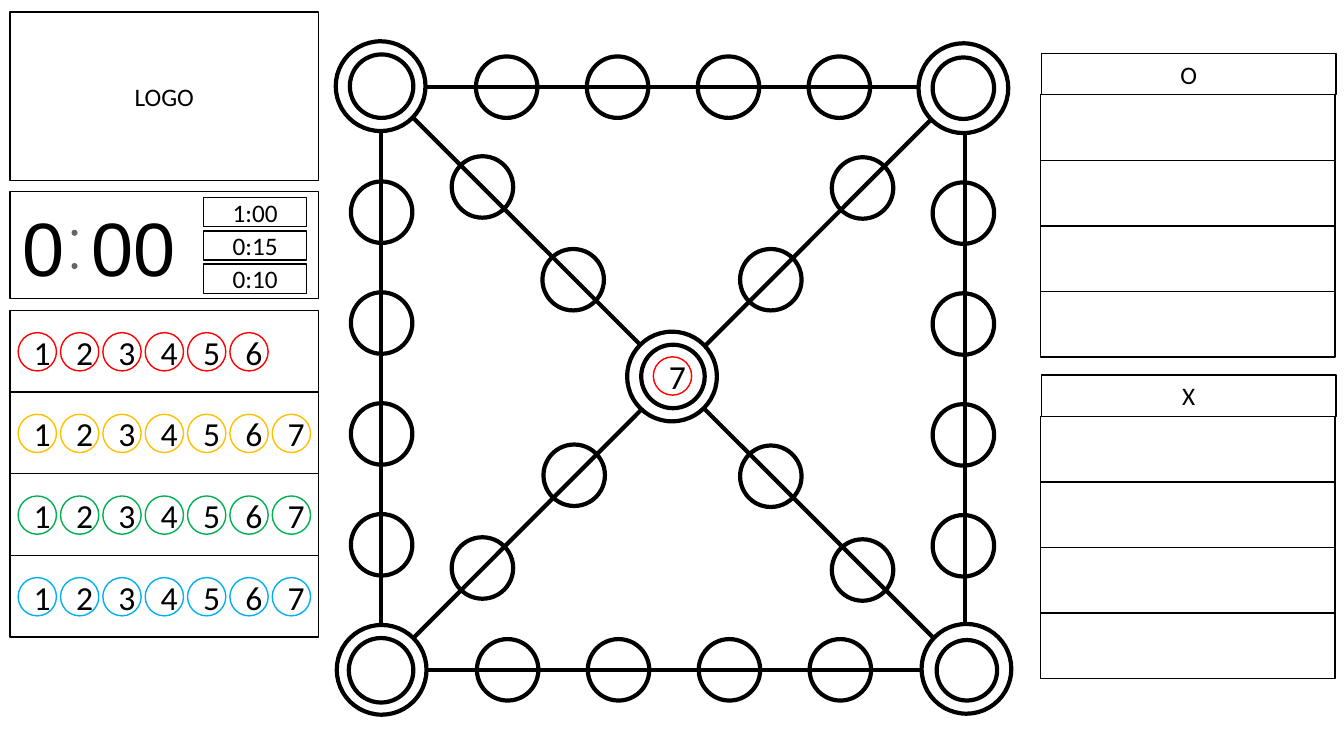
from lxml import etree
from pptx import Presentation
from pptx.dml.color import RGBColor
from pptx.enum.shapes import MSO_CONNECTOR, MSO_SHAPE
from pptx.enum.text import MSO_ANCHOR, PP_ALIGN
from pptx.oxml.ns import qn
from pptx.util import Inches, Pt

BLACK = RGBColor(0, 0, 0)
WHITE = RGBColor(255, 255, 255)
RED = RGBColor(255, 0, 0)
GOLD = RGBColor(255, 192, 0)
GREEN = RGBColor(0, 176, 80)
BLUE = RGBColor(0, 176, 240)
RECT = MSO_SHAPE.RECTANGLE
OVAL = MSO_SHAPE.OVAL
STRAIGHT = MSO_CONNECTOR.STRAIGHT
CENTER = PP_ALIGN.CENTER
MIDDLE = MSO_ANCHOR.MIDDLE

deck = Presentation()
deck.slide_width = Inches(13.33)
deck.slide_height = Inches(7.5)
slide = deck.slides.add_slide(deck.slide_layouts[6])
shapes = slide.shapes


def write(shape, text, size, font="Calibri"):
    frame = shape.text_frame
    frame.word_wrap = True
    frame.vertical_anchor = MIDDLE
    line = frame.paragraphs[0]
    line.text = text
    line.alignment = CENTER
    face = line.runs[0].font
    face.name = font
    face.size = Pt(size)
    face.color.rgb = BLACK


def draw(kind, left, top, width, height, weight=1, line=BLACK, fill=None, text="", size=18):
    shape = shapes.add_shape(kind, Inches(left), Inches(top), Inches(width), Inches(height))
    shape.shadow.inherit = False
    shape.line.color.rgb = line
    shape.line.width = Pt(weight)
    if fill is None:
        shape.fill.background()
    else:
        shape.fill.solid()
        shape.fill.fore_color.rgb = fill
    if text:
        write(shape, text, size)


# Board frame and diagonals
draw(RECT, 3.78, 0.86, 5.79, 5.79, 3)
for x1, y1, x2, y2 in [(9.57, 0.85, 3.77, 6.66), (3.79, 0.86, 9.59, 6.66)]:
    cross = shapes.add_connector(STRAIGHT, Inches(x1), Inches(y1), Inches(x2), Inches(y2))
    cross.line.color.rgb = BLACK
    cross.line.width = Pt(3)
    etree.SubElement(cross._element.spPr, qn("a:effectLst"))

# Double rings at the corners and the centre
for left, top in [(9.14, 6.19), (9.11, 0.43), (3.34, 6.2), (6.22, 3.29), (3.33, 0.41)]:
    draw(OVAL, left, top, 0.89, 0.89, 3, fill=WHITE)
for left, top, size in [(3.47, 0.54, 0.63), (3.46, 6.33, 0.64), (9.29, 6.35, 0.6),
                        (9.25, 0.57, 0.61), (6.36, 3.42, 0.63)]:
    draw(OVAL, left, top, size, size, 3)

# Four stops on each side, two on each half diagonal
stops = [(4.48, 1.55), (5.38, 2.47), (8.25, 1.56), (7.34, 2.47),
         (5.39, 4.41), (4.48, 5.33), (7.34, 4.42), (8.25, 5.35)]
for i in range(4):
    step = 1.1 * i
    stops += [(4.72 + step, 0.56), (4.73 + step, 6.34),
              (3.48, 1.8 + step), (9.25, 1.81 + step)]
for left, top in stops:
    draw(OVAL, left, top, 0.61, 0.61, 3)

# Team panels
for name, top in [("O", 0.53), ("X", 3.72)]:
    draw(RECT, 10.33, top, 2.92, 0.41, text=name)
    for row in range(4):
        draw(RECT, 10.32, top + 0.41 + 0.65 * row, 2.92, 0.65)

# Logo and timer boxes
draw(RECT, 0.1, 0.12, 3.06, 1.67, text="LOGO")
draw(RECT, 0.1, 1.9, 3.06, 1.06)

# Token racks: the red 7 stands on the centre of the board
for row, color in enumerate([RED, GOLD, GREEN, BLUE]):
    top = 3.08 + 0.81 * row
    draw(RECT, 0.1, top, 3.06, 0.81)
    for i in range(7):
        left, high = 0.18 + 0.42 * i, top + 0.22
        if color == RED and i == 6:
            left, high = 6.48, 3.54
        draw(OVAL, left, high, 0.38, 0.38, line=color, fill=WHITE, text=str(i + 1), size=24)

# Clock digits
for text, left, top, width, height in [("0", 0.12, 2.01, 0.55, 0.87),
                                       ("00", 0.69, 1.99, 1.27, 0.9)]:
    box = shapes.add_textbox(Inches(left), Inches(top), Inches(width), Inches(height))
    write(box, text, 54, "Arial")

# Clock colon
colon = shapes.add_group_shape()
for top in (2.28, 2.61):
    dot = colon.shapes.add_shape(OVAL, Inches(0.71), Inches(top), Inches(0.06), Inches(0.06))
    dot.shadow.inherit = False
    dot.line.fill.background()
    dot.fill.solid()
    dot.fill.fore_color.rgb = BLACK
    tint = dot._element.spPr.find(qn("a:solidFill"))[0]
    etree.SubElement(tint, qn("a:alpha")).set("val", "60000")

# Preset times
for i, time in enumerate(["1:00", "0:15", "0:10"]):
    draw(RECT, 2.02, 1.96 + 0.33 * i, 1.02, 0.29, fill=WHITE, text=time)

deck.save("out.pptx")
